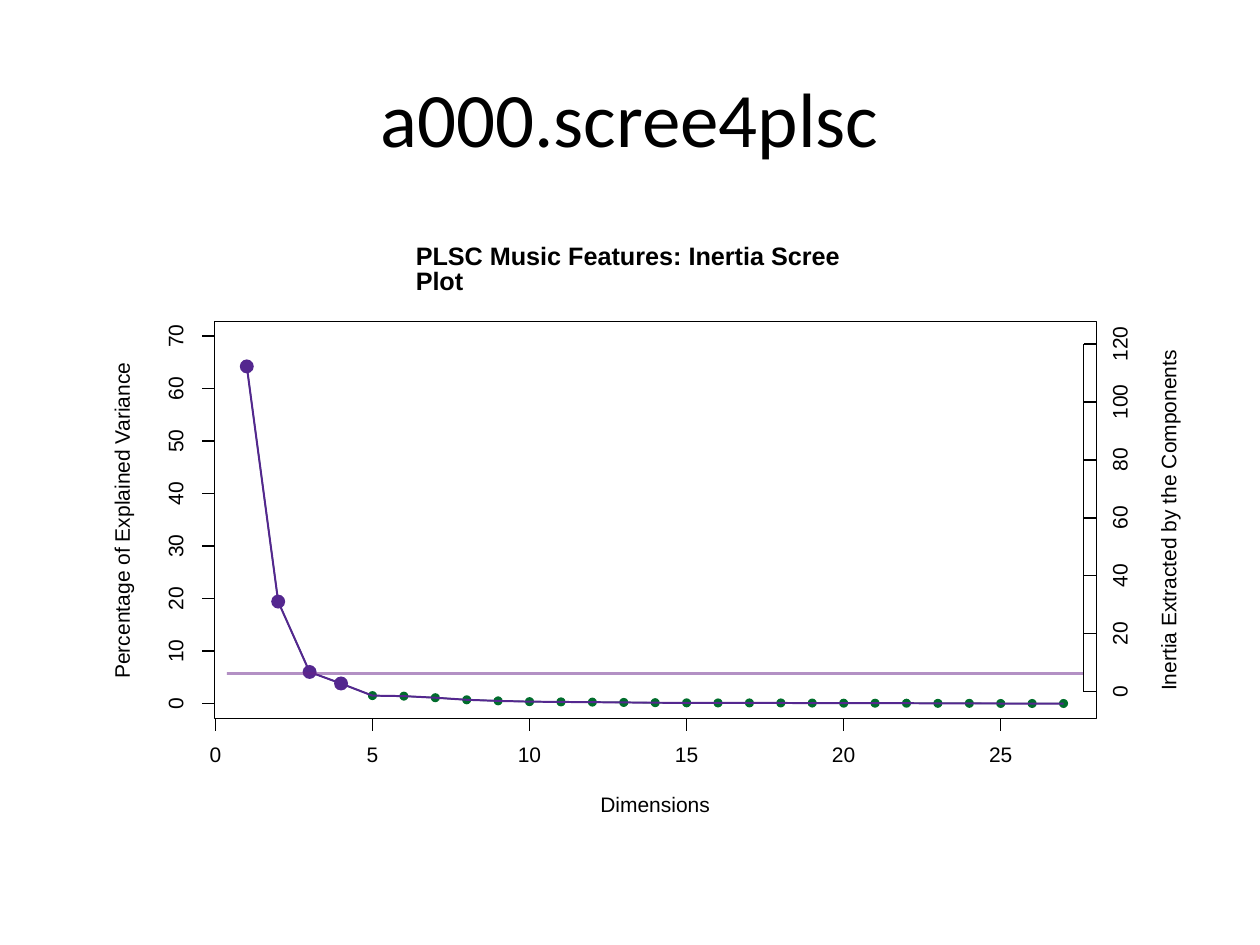
from lxml.etree import SubElement
from pptx import Presentation
from pptx.dml.color import RGBColor
from pptx.enum.shapes import MSO_CONNECTOR, MSO_SHAPE
from pptx.enum.text import MSO_ANCHOR, PP_ALIGN
from pptx.oxml.ns import qn
from pptx.util import Pt

BLACK = RGBColor(0x00, 0x00, 0x00)
WHITE = RGBColor(0xFF, 0xFF, 0xFF)
GREEN = RGBColor(0x00, 0x6D, 0x2C)
PURPLE = RGBColor(0x54, 0x27, 0x8F)
VIOLET = RGBColor(0x68, 0x22, 0x8B)

SLIDE_TITLE = "a000.scree4plsc"
VARIANCES = [64.2, 19.4, 6, 3.8, 1.5, 1.4, 1.1, 0.7, 0.5, 0.35, 0.3, 0.25, 0.2,
             0.15, 0.12, 0.1, 0.1, 0.1, 0.08, 0.06, 0.05, 0.05, 0.03, 0.03, 0, 0, 0]
AVERAGE = 5.7
IMPORTANT_COUNT = 4
DIMENSION_TICKS = range(0, 26, 5)
VARIANCE_TICKS = range(0, 71, 10)
INERTIA_TICKS = range(0, 121, 20)
CAPTIONS = [
    ("PLSC Music Features: Inertia Scree Plot", 374.4, 154.4, 273.6, 14.4, True, 0),
    ("Dimensions", 374.4, 460.8, 62.7, 12, False, 0),
    ("Percentage of Explained Variance", 70.6, 297.1, 181.4, 12, False, 270),
    ("Inertia Extracted by the Components", 668.6, 297.1, 195.4, 12, False, 270),
]

LEFT, TOP, RIGHT, BOTTOM = 122.7, 183.6, 626.7, 410.4
INERTIA_X = 619.2
TICK = 7.2
DIGIT_WIDTH = 6.67


def dimension_x(value):
    return 123.1 + 17.95 * value


def variance_y(value):
    return 402 - 3 * value


def inertia_y(value):
    return 395.3 - 1.656 * value


presentation = Presentation()
presentation.slide_width, presentation.slide_height = Pt(720), Pt(540)
slide = presentation.slides.add_slide(presentation.slide_layouts[5])

title = slide.shapes.title
title.left, title.top, title.width, title.height = Pt(36), Pt(21.6), Pt(648), Pt(90)
title.text_frame.vertical_anchor = MSO_ANCHOR.MIDDLE
paragraph = title.text_frame.paragraphs[0]
paragraph.alignment = PP_ALIGN.CENTER
run = paragraph.add_run()
run.text = SLIDE_TITLE
run.font.size, run.font.name = Pt(44), "Calibri"
run.font.color.rgb = BLACK

plot = slide.shapes.add_group_shape().shapes


def add_solid(kind, left, top, width, height, color):
    shape = plot.add_shape(kind, Pt(left), Pt(top), Pt(width), Pt(height))
    shape.shadow.inherit = False
    shape.fill.solid()
    shape.fill.fore_color.rgb = color
    shape.line.fill.background()
    return shape


def add_dot(x, y, diameter, color):
    add_solid(MSO_SHAPE.OVAL, x - diameter / 2, y - diameter / 2, diameter, diameter, color)


def add_path(points, color, weight, close=False):
    corners = [(Pt(x), Pt(y)) for x, y in points]
    builder = plot.build_freeform(*corners[0])
    builder.add_line_segments(corners[1:], close=close)
    shape = builder.convert_to_shape()
    shape.shadow.inherit = False
    shape.fill.background()
    shape.line.color.rgb = color
    shape.line.width = Pt(weight)


def add_line(x1, y1, x2, y2, color=BLACK, weight=0.75):
    line = plot.add_connector(MSO_CONNECTOR.STRAIGHT, Pt(x1), Pt(y1), Pt(x2), Pt(y2))
    line.line.color.rgb = color
    line.line.width = Pt(weight)
    SubElement(line._element.spPr, qn("a:effectLst"))
    return line


def add_label(text, x, y, width, size=12, bold=False, rotation=0):
    box = plot.add_textbox(Pt(x - width / 2), Pt(y - size / 2), Pt(width), Pt(size))
    box.rotation = rotation
    frame = box.text_frame
    frame.word_wrap = False
    frame.vertical_anchor = MSO_ANCHOR.MIDDLE
    frame.margin_left = frame.margin_right = frame.margin_top = frame.margin_bottom = 0
    paragraph = frame.paragraphs[0]
    paragraph.line_spacing = Pt(size)
    run = paragraph.add_run()
    run.text = text
    run.font.size, run.font.name, run.font.bold = Pt(size), "Arial", bold
    run.font.color.rgb = BLACK


def add_tick_label(value, x, y, rotation=0):
    add_label(str(value), x, y, DIGIT_WIDTH * len(str(value)), rotation=rotation)


def add_vertical_axis(ticks, scale, axis_x, tick_x, label_x):
    add_line(axis_x, scale(ticks[0]), axis_x, scale(ticks[-1]))
    for value in ticks:
        add_line(axis_x, scale(value), tick_x, scale(value))
        add_tick_label(value, label_x, scale(value), 270)


points = [(dimension_x(number), variance_y(value))
          for number, value in enumerate(VARIANCES, 1)]

panel = add_solid(MSO_SHAPE.RECTANGLE, 36, 126, 648, 356.4, WHITE)
panel.line.color.rgb = WHITE
panel.line.width = Pt(0.75)
add_path(points, GREEN, 0.75)

add_line(dimension_x(DIMENSION_TICKS[0]), BOTTOM, dimension_x(DIMENSION_TICKS[-1]), BOTTOM)
for value in DIMENSION_TICKS:
    add_line(dimension_x(value), BOTTOM, dimension_x(value), BOTTOM + TICK)
    add_tick_label(value, dimension_x(value), 432)

add_vertical_axis(VARIANCE_TICKS, variance_y, LEFT, LEFT - TICK, 101.2)
add_path([(LEFT, BOTTOM), (RIGHT, BOTTOM), (RIGHT, TOP), (LEFT, TOP)], BLACK, 0.75, close=True)
for caption in CAPTIONS[:3]:
    add_label(*caption)

for x, y in points:
    add_dot(x, y, 5.2, GREEN)
add_path(points, PURPLE, 1.12)
for x, y in points[:IMPORTANT_COUNT]:
    add_dot(x, y, 8, PURPLE)

average_line = add_line(129.6, variance_y(AVERAGE), INERTIA_X, variance_y(AVERAGE), VIOLET, 1.5)
line_color = average_line._element.spPr.find(".//" + qn("a:srgbClr"))
SubElement(line_color, qn("a:alpha")).set("val", "50000")

add_label(*CAPTIONS[3])
add_vertical_axis(INERTIA_TICKS, inertia_y, INERTIA_X, RIGHT, 640.8)

presentation.save("out.pptx")
